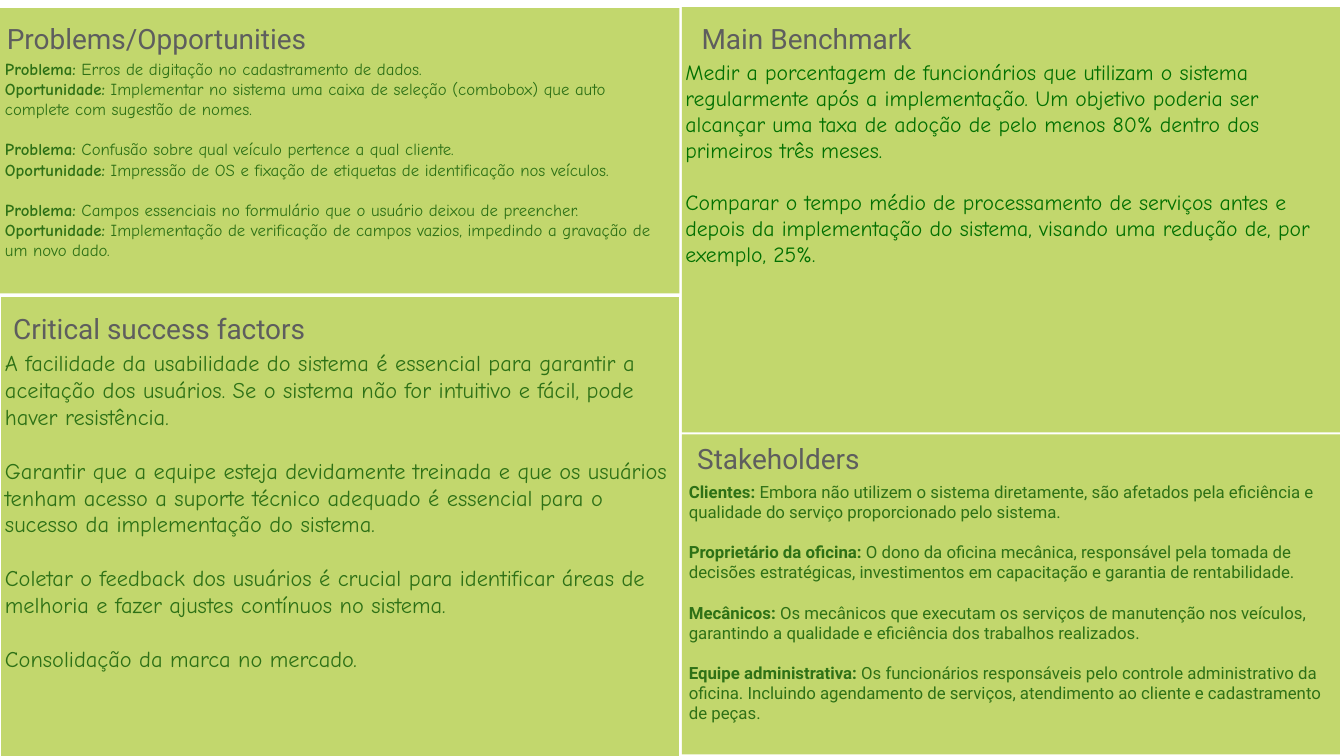
from pptx import Presentation
from pptx.dml.color import RGBColor
from pptx.enum.shapes import MSO_SHAPE
from pptx.enum.text import MSO_ANCHOR, MSO_AUTO_SIZE, PP_ALIGN
from pptx.util import Inches, Pt

PANEL_GREEN = RGBColor(0xC2, 0xD7, 0x6D)
TITLE_GRAY = RGBColor(0x5E, 0x5E, 0x5E)
TEXT_GREEN = RGBColor(0x2E, 0x71, 0x16)
BENCHMARK_GREEN = RGBColor(0x02, 0x70, 0x01)
WHITE = RGBColor(0xFF, 0xFF, 0xFF)

TITLE_SIZE = 40
LINE_HEIGHT = 1.2
TIGHT_INSET = (0.03, 0.03)
BODY_INSET = (0.1, 0.05)

PANELS = [
    {
        "title": "Problems/Opportunities",
        "panel": (0, 0.16, 13.48, 5.66),
        "title_box": (0, 0.39, 6.21, 0.72),
        "body_box": (0, 1.11, 13.42, 4.54),
        "font": "Comic Neue", "size": 24, "color": TEXT_GREEN,
        "blocks": [
            [("Problema:", " Erros de digitação no cadastramento de dados."),
             ("Oportunidade:", " Implementar no sistema uma caixa de seleção (combobox) que auto complete com sugestão de nomes.")],
            [("Problema:", " Confusão sobre qual veículo pertence a qual cliente."),
             ("Oportunidade:", " Impressão de OS e fixação de etiquetas de identificação nos veículos.")],
            [("Problema:", " Campos essenciais no formulário que o usuário deixou de preencher."),
             ("Oportunidade:", " Implementação de verificação de campos vazios, impedindo a gravação de um novo dado.")],
        ],
    },
    {
        "title": "Main Benchmark",
        "panel": (13.53, 0.14, 13.06, 8.44),
        "title_box": (13.8, 0.39, 4.41, 0.72),
        "body_box": (13.57, 1.11, 13.02, 4.23),
        "font": "Comic Neue", "size": 31, "color": BENCHMARK_GREEN,
        "inset": TIGHT_INSET, "anchor": MSO_ANCHOR.MIDDLE,
        "blocks": [
            [("", "Medir a porcentagem de funcionários que utilizam o sistema regularmente após a implementação. Um objetivo poderia ser alcançar uma taxa de adoção de pelo menos 80% dentro dos primeiros três meses.")],
            [("", "Comparar o tempo médio de processamento de serviços antes e depois da implementação do sistema, visando uma redução de, por exemplo, 25%.")],
        ],
    },
    {
        "title": "Critical success factors",
        "panel": (0, 5.88, 13.48, 9.12),
        "title_box": (0.23, 6.16, 6.39, 0.72),
        "body_box": (0, 6.88, 13.42, 6.56),
        "font": "Comic Neue", "size": 32, "color": TEXT_GREEN,
        "outlined": True, "title_align": PP_ALIGN.LEFT, "title_wrap": True,
        "blocks": [
            [("", "A facilidade da usabilidade do sistema é essencial para garantir a aceitação dos usuários. Se o sistema não for intuitivo e fácil, pode haver resistência.")],
            [("", "Garantir que a equipe esteja devidamente treinada e que os usuários tenham acesso a suporte técnico adequado é essencial para o sucesso da implementação do sistema.")],
            [("", "Coletar o feedback dos usuários é crucial para identificar áreas de melhoria e fazer ajustes contínuos no sistema.")],
            [("", "Consolidação da marca no mercado.")],
        ],
    },
    {
        "title": "Stakeholders",
        "panel": (13.53, 8.62, 13.06, 6.35),
        "title_box": (13.72, 8.74, 3.45, 0.72),
        "body_box": (13.57, 9.5, 13.02, 4.95),
        "font": "Roboto", "size": 24, "color": TEXT_GREEN,
        "blocks": [
            [("Clientes:", " Embora não utilizem o sistema diretamente, são afetados pela eficiência e qualidade do serviço proporcionado pelo sistema.")],
            [("Proprietário da oficina:", " O dono da oficina mecânica, responsável pela tomada de decisões estratégicas, investimentos em capacitação e garantia de rentabilidade.")],
            [("Mecânicos:", " Os mecânicos que executam os serviços de manutenção nos veículos, garantindo a qualidade e eficiência dos trabalhos realizados.")],
            [("Equipe administrativa:", " Os funcionários responsáveis pelo controle administrativo da oficina. Incluindo agendamento de serviços, atendimento ao cliente e cadastramento de peças.")],
        ],
    },
]


def add_panel(slide, box, outlined):
    shape = slide.shapes.add_shape(MSO_SHAPE.RECTANGLE, *map(Inches, box))
    shape.shadow.inherit = False
    shape.fill.solid()
    shape.fill.fore_color.rgb = PANEL_GREEN
    if outlined:
        shape.line.color.rgb = WHITE
        shape.line.width = Pt(0.25)
    else:
        shape.line.fill.background()


def add_text_frame(slide, box, inset, anchor, wrap=True):
    text_frame = slide.shapes.add_textbox(*map(Inches, box)).text_frame
    text_frame.margin_left = text_frame.margin_right = Inches(inset[0])
    text_frame.margin_top = text_frame.margin_bottom = Inches(inset[1])
    text_frame.vertical_anchor = anchor
    text_frame.auto_size = MSO_AUTO_SIZE.SHAPE_TO_FIT_TEXT
    text_frame.word_wrap = wrap
    return text_frame


def add_run(paragraph, text, font, size, color, bold=False):
    run = paragraph.add_run()
    run.text = text
    run.font.name = font
    run.font.size = Pt(size)
    run.font.color.rgb = color
    run.font.bold = bold


def add_title(slide, panel):
    text_frame = add_text_frame(slide, panel["title_box"], TIGHT_INSET,
                                MSO_ANCHOR.MIDDLE, panel.get("title_wrap", False))
    paragraph = text_frame.paragraphs[0]
    paragraph.alignment = panel.get("title_align", PP_ALIGN.CENTER)
    add_run(paragraph, panel["title"], "Roboto", TITLE_SIZE, TITLE_GRAY)


def add_body(slide, panel):
    text_frame = add_text_frame(slide, panel["body_box"], panel.get("inset", BODY_INSET),
                                panel.get("anchor", MSO_ANCHOR.TOP))
    style = panel["font"], panel["size"], panel["color"]
    paragraph = text_frame.paragraphs[0]
    for block_index, block in enumerate(panel["blocks"]):
        for line_index, (label, text) in enumerate(block):
            if block_index or line_index:
                paragraph = text_frame.add_paragraph()
            if block_index and not line_index:
                paragraph.space_before = Pt(round(panel["size"] * LINE_HEIGHT, 1))
            if label:
                add_run(paragraph, label, *style, bold=True)
            add_run(paragraph, text, *style)


def main():
    presentation = Presentation()
    presentation.slide_width = Inches(26.67)
    presentation.slide_height = Inches(15)
    slide = presentation.slides.add_slide(presentation.slide_layouts[6])
    for panel in PANELS:
        add_panel(slide, panel["panel"], panel.get("outlined", False))
        add_title(slide, panel)
        add_body(slide, panel)
    presentation.save("out.pptx")


if __name__ == "__main__":
    main()
